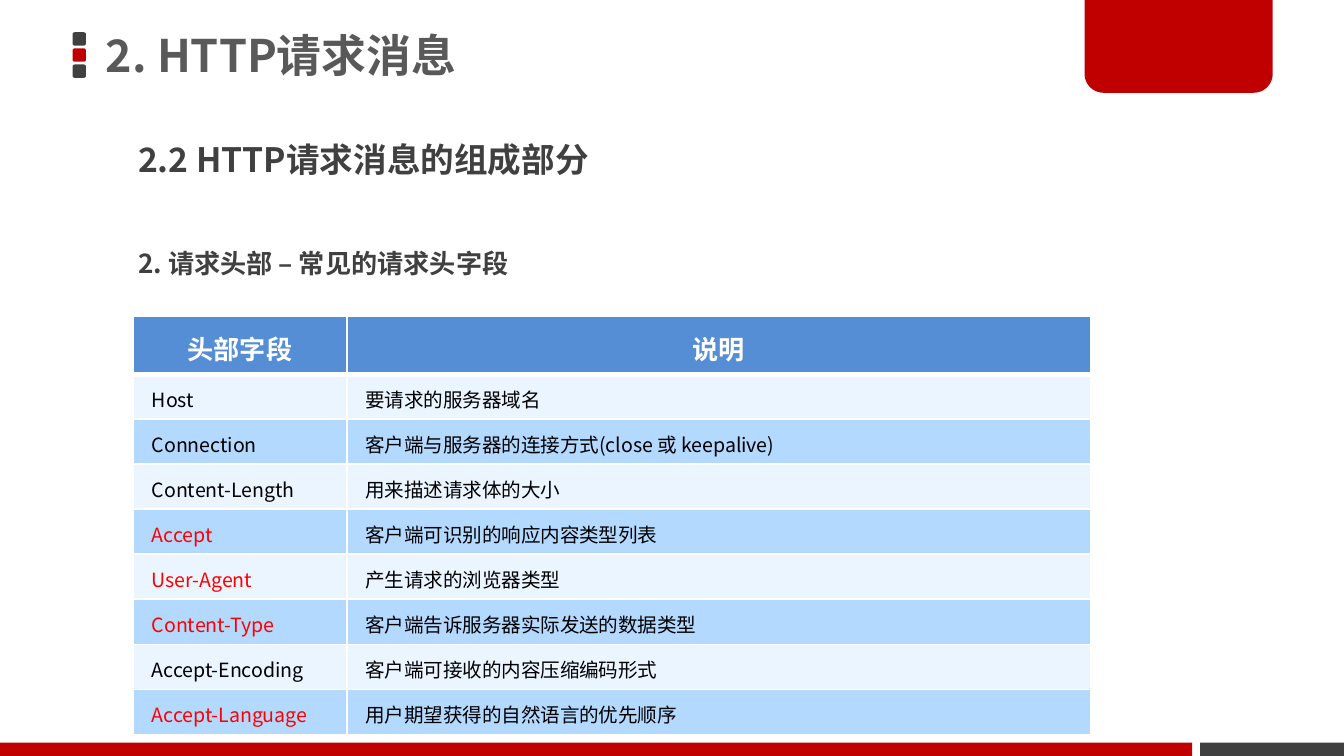
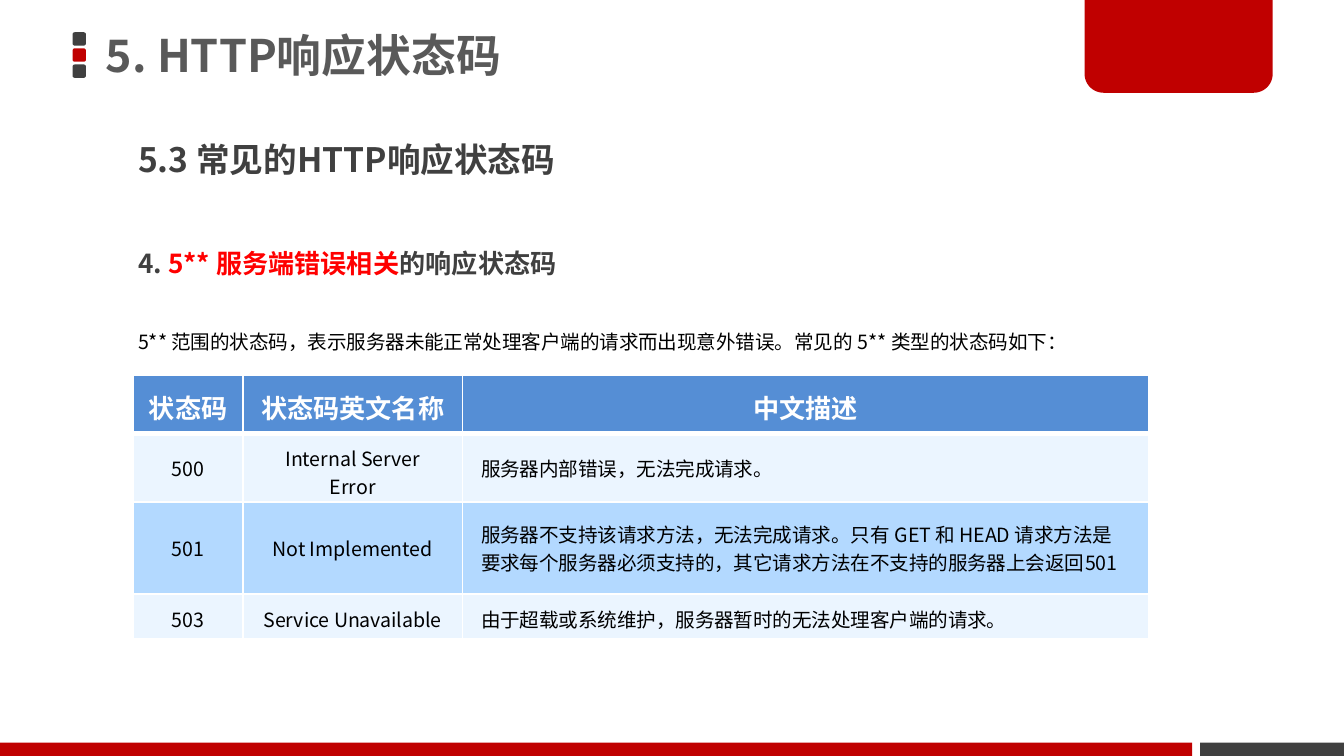
"""Builds two slides on HTTP request headers and 5** response status codes."""
from math import cos, pi, sin

from lxml.etree import SubElement
from pptx import Presentation
from pptx.dml.color import RGBColor
from pptx.enum.shapes import MSO_SHAPE
from pptx.enum.text import MSO_ANCHOR, MSO_AUTO_SIZE, PP_ALIGN
from pptx.oxml import parse_xml
from pptx.oxml.ns import nsdecls, qn
from pptx.util import Inches, Pt

FONT = "Noto Sans CJK SC"
SLIDE_WIDTH = 10
SLIDE_HEIGHT = SLIDE_WIDTH * 9 / 16
BAND_HEIGHT = 0.1
COLORS = {
    "red": "C00000", "dark": "404040", "title": "595959", "alert": "FF0000",
    "header": "558ED5", "light": "EBF5FF", "band": "B3D9FF",
    "white": "FFFFFF", "black": "000000",
}
SLIDES = [
    {
        "title": "2. HTTP请求消息",
        "section": "2.2 HTTP请求消息的组成部分",
        "topic": [("2. 请求头部 – 常见的请求头字段", "dark")],
        "table": {
            "top": 2.35, "height": 3.13, "widths": [1.59, 5.54], "centred": 0,
            "alerts": {"Accept", "User-Agent", "Content-Type", "Accept-Language"},
            "rows": [
                ("头部字段", "说明"),
                ("Host", "要请求的服务器域名"),
                ("Connection", "客户端与服务器的连接方式(close 或 keepalive)"),
                ("Content-Length", "用来描述请求体的大小"),
                ("Accept", "客户端可识别的响应内容类型列表"),
                ("User-Agent", "产生请求的浏览器类型"),
                ("Content-Type", "客户端告诉服务器实际发送的数据类型"),
                ("Accept-Encoding", "客户端可接收的内容压缩编码形式"),
                ("Accept-Language", "用户期望获得的自然语言的优先顺序"),
            ],
        },
    },
    {
        "title": "5. HTTP响应状态码",
        "section": "5.3 常见的HTTP响应状态码",
        "topic": [("4. ", "dark"), ("5** 服务端错误相关", "alert"), ("的响应状态码", "dark")],
        "intro": "5** 范围的状态码，表示服务器未能正常处理客户端的请求而出现意外错误。"
                 "常见的 5** 类型的状态码如下：",
        "table": {
            "top": 2.79, "height": 1.77, "widths": [0.82, 1.63, 5.11], "centred": 2,
            "alerts": set(),
            "rows": [
                ("状态码", "状态码英文名称", "中文描述"),
                ("500", "Internal Server Error", "服务器内部错误，无法完成请求。"),
                ("501", "Not Implemented",
                 "服务器不支持该请求方法，无法完成请求。只有 GET 和 HEAD 请求方法是要求"
                 "每个服务器必须支持的，其它请求方法在不支持的服务器上会返回501"),
                ("503", "Service Unavailable", "由于超载或系统维护，服务器暂时的无法处理客户端的请求。"),
            ],
        },
    },
]
BODY_PARA = {"line_spacing": 0.9, "space_before": Pt(7.5)}
STYLES = {
    "title": {
        "at": (0.69, 0, 7.37, 0.87),
        "frame": {"vertical_anchor": MSO_ANCHOR.MIDDLE},
        "para": {"line_spacing": 0.9},
        "font": {"size": Pt(24), "bold": True},
    },
    "section": {
        "at": (0.93, 1.02, 7.13, 0.59), "frame": {}, "para": BODY_PARA,
        "font": {"size": Pt(18), "bold": True},
    },
    "topic": {
        "at": (0.93, 1.82, 7.1, 0.31),
        "frame": {"auto_size": MSO_AUTO_SIZE.SHAPE_TO_FIT_TEXT},
        "para": BODY_PARA,
        "font": {"size": Pt(14), "bold": True},
    },
    "intro": {
        "at": (0.93, 2.32, 8, 0.46), "frame": {},
        "para": {"line_spacing": 1.5, "space_before": Pt(7.5)},
        "font": {"size": Pt(10.5), "bold": False},
    },
}
HEADER_CELL = {
    "height": 0.38, "insets": (0.1, 0.05), "anchor": MSO_ANCHOR.TOP,
    "para": {"line_spacing": Pt(24)},
    "font": {"size": Pt(14), "bold": True},
}
BODY_CELL = {
    "height": 0.32, "insets": (0.14, 0.08), "anchor": MSO_ANCHOR.MIDDLE,
    "para": {},
    "font": {"size": Pt(10.5), "bold": False},
}


def color(name):
    return RGBColor.from_string(COLORS[name])


def apply(target, values):
    for name, value in values.items():
        setattr(target, name, value)


def write(para, spans, style):
    apply(para, style["para"])
    for text, color_name in spans:
        span = para.add_run()
        span.text = text
        apply(span.font, {"name": FONT, **style["font"]})
        span.font.color.rgb = color(color_name)
        SubElement(span.font._element, qn("a:ea")).set("typeface", FONT)


def paint(shape, color_name):
    shape.shadow.inherit = False
    shape.fill.solid()
    shape.fill.fore_color.rgb = color(color_name)
    shape.line.fill.background()


def add_block(page, kind, at, color_name):
    box = page.shapes.add_shape(kind, *map(Inches, at))
    paint(box, color_name)


def add_corner_tab(page, left=8.07, right=9.47, bottom=0.69, radius=0.14, steps=12):
    points = [(right, 0)]
    for centre, start in ((right - radius, 0), (left + radius, pi / 2)):
        for step in range(steps + 1):
            angle = start + pi / 2 * step / steps
            points.append((centre + radius * cos(angle), bottom - radius + radius * sin(angle)))
    points.append((left, 0))
    corners = [(Inches(x), Inches(y)) for x, y in points]
    builder = page.shapes.build_freeform(*corners[0])
    builder.add_line_segments(corners[1:], close=True)
    paint(builder.convert_to_shape(), "red")


def add_frame(page):
    for index, color_name in enumerate(("dark", "red", "dark")):
        add_block(page, MSO_SHAPE.ROUNDED_RECTANGLE,
                  (0.54, 0.24 + 0.12 * index, 0.1, 0.1), color_name)
    band_top = SLIDE_HEIGHT - BAND_HEIGHT
    add_block(page, MSO_SHAPE.RECTANGLE, (8.93, band_top, 1.07, BAND_HEIGHT), "dark")
    add_corner_tab(page)
    add_block(page, MSO_SHAPE.RECTANGLE, (0, band_top, 8.87, BAND_HEIGHT), "red")


def add_text(page, style_name, spans):
    style = STYLES[style_name]
    box = page.shapes.add_textbox(*map(Inches, style["at"]))
    apply(box.text_frame, {"word_wrap": True, **style["frame"]})
    write(box.text_frame.paragraphs[0], spans, style)


def set_borders(cell, row):
    widths = {"lnL": 1, "lnR": 1, "lnT": 3 if row == 1 else 1, "lnB": 3 if row == 0 else 1}
    for index, (side, width) in enumerate(widths.items()):
        line = parse_xml(
            f'<a:{side} {nsdecls("a")} w="{Pt(width)}"><a:solidFill>'
            f'<a:srgbClr val="{COLORS["white"]}"/></a:solidFill></a:{side}>')
        cell._tc.get_or_add_tcPr().insert(index, line)


def add_table(page, content):
    rows, widths = content["rows"], content["widths"]
    styles = [HEADER_CELL] + [BODY_CELL] * (len(rows) - 1)
    holder = page.shapes.add_table(
        len(rows), len(widths), Inches(0.99), Inches(content["top"]),
        Inches(sum(widths)), Inches(content["height"]))
    table = holder.table
    for column, width in zip(table.columns, widths):
        column.width = Inches(width)
    for row, (texts, style) in enumerate(zip(rows, styles)):
        table.rows[row].height = Inches(style["height"])
        across, down = map(Inches, style["insets"])
        for column, text in enumerate(texts):
            cell = table.cell(row, column)
            apply(cell, {"margin_left": across, "margin_right": across,
                         "margin_top": down, "margin_bottom": down,
                         "vertical_anchor": style["anchor"]})
            fill_name = "header" if row == 0 else ("band", "light")[row % 2]
            cell.fill.solid()
            cell.fill.fore_color.rgb = color(fill_name)
            set_borders(cell, row)
            text_color = "white" if row == 0 else "alert" if text in content["alerts"] else "black"
            para = cell.text_frame.paragraphs[0]
            centred = row == 0 or column < content["centred"]
            para.alignment = PP_ALIGN.CENTER if centred else PP_ALIGN.LEFT
            write(para, [(text, text_color)], style)
    holder.height = Inches(content["height"])


def main():
    deck = Presentation()
    deck.slide_width, deck.slide_height = Inches(SLIDE_WIDTH), Inches(SLIDE_HEIGHT)
    for content in SLIDES:
        page = deck.slides.add_slide(deck.slide_layouts[6])
        add_frame(page)
        add_text(page, "title", [(content["title"], "title")])
        add_text(page, "section", [(content["section"], "dark")])
        add_text(page, "topic", content["topic"])
        if "intro" in content:
            add_text(page, "intro", [(content["intro"], "black")])
        add_table(page, content["table"])
    deck.save("out.pptx")


if __name__ == "__main__":
    main()
